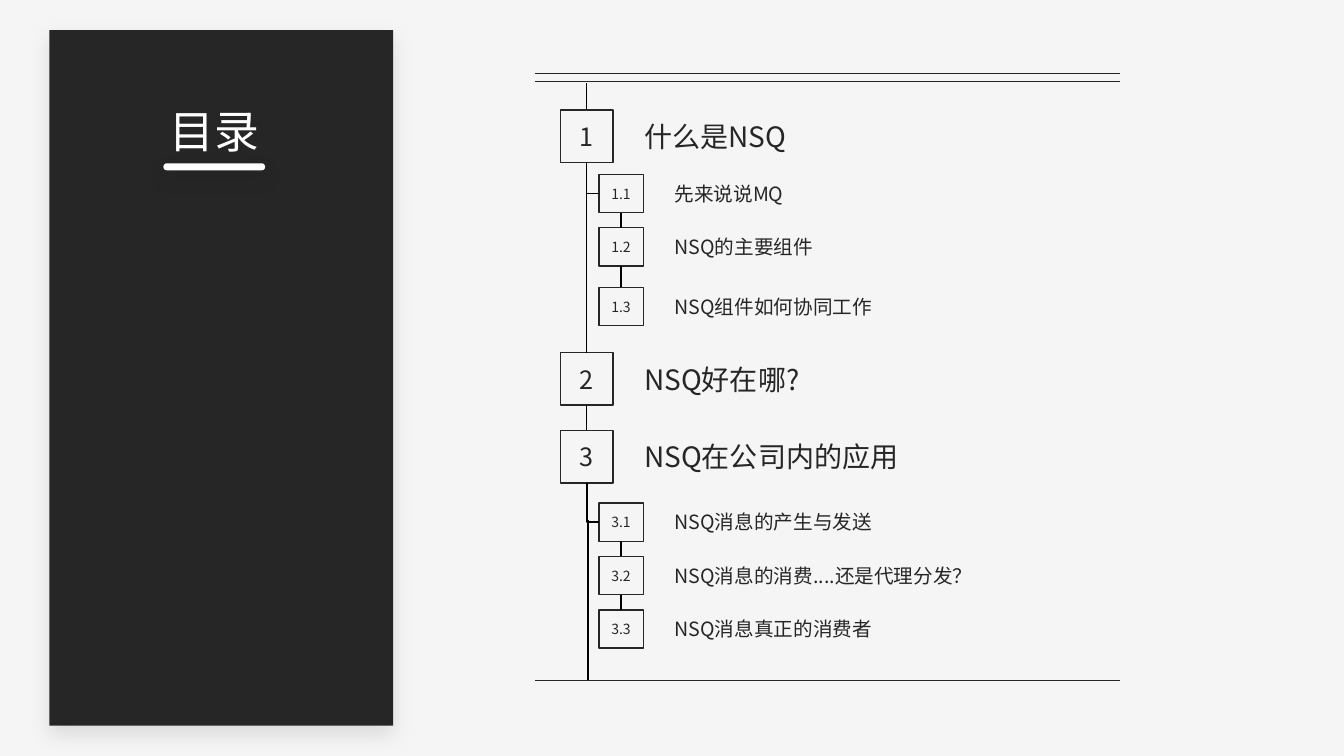
from dataclasses import dataclass
from typing import Optional

from lxml.etree import SubElement
from pptx import Presentation
from pptx.dml.color import RGBColor
from pptx.enum.shapes import MSO_CONNECTOR, MSO_SHAPE
from pptx.enum.text import MSO_ANCHOR, MSO_AUTO_SIZE, PP_ALIGN
from pptx.oxml.ns import qn
from pptx.util import Inches, Pt


@dataclass(frozen=True)
class Theme:
    font: str = "Noto Sans CJK SC"
    back: str = "F5F5F5"
    dark: str = "262626"
    white: str = "FFFFFF"
    black: str = "000000"
    title: int = 32
    line: int = 1


@dataclass(frozen=True)
class Level:
    left: float
    width: float
    height: float
    size: int
    text_left: float
    text_width: float
    text_height: float
    text_size: int


@dataclass(frozen=True)
class Entry:
    num: str
    text: str
    top: float
    level: Level
    width: Optional[float] = None


THEME = Theme()
MAIN = Level(5.56, 0.52, 0.52, 18, 6.29, 3.58, 0.77, 20)
SUB = Level(5.94, 0.44, 0.38, 10, 6.59, 2.62, 0.68, 14)
ENTRIES = [
    Entry("1", "什么是NSQ", 1.09, MAIN),
    Entry("1.1", "先来说说MQ", 1.73, SUB),
    Entry("1.2", "NSQ的主要组件", 2.26, SUB),
    Entry("1.3", "NSQ组件如何协同工作", 2.85, SUB),
    Entry("2", "NSQ好在哪?", 3.5, MAIN),
    Entry("3", "NSQ在公司内的应用", 4.27, MAIN),
    Entry("3.1", "NSQ消息的产生与发送", 4.99, SUB),
    Entry("3.2", "NSQ消息的消费....还是代理分发？", 5.52, SUB, 3.1),
    Entry("3.3", "NSQ消息真正的消费者", 6.05, SUB),
]
LINKS = [("1", "2"), ("2", "3"), ("1.1", "1.2"), ("1.2", "1.3"),
         ("3.1", "3.2"), ("3.2", "3.3")]
TOP, LEFT, BOTTOM = 0, 1, 2
SPINE = MAIN.left + MAIN.width / 2


def paint(frame, text: str, size: int, color: str, align=PP_ALIGN.LEFT) -> None:
    frame.text = text
    para = frame.paragraphs[0]
    para.alignment = align
    for run in para.runs:
        font = run.font
        font.size = Pt(size)
        font.color.rgb = RGBColor.from_string(color)
        font.name = THEME.font
        SubElement(font._element, qn("a:ea")).set("typeface", THEME.font)


def block(kind, left: float, top: float, width: float, height: float,
          fill: Optional[str] = None):
    shape = slide.shapes.add_shape(
        kind, Inches(left), Inches(top), Inches(width), Inches(height))
    shape.shadow.inherit = False
    if fill:
        shape.fill.solid()
        shape.fill.fore_color.rgb = RGBColor.from_string(fill)
        shape.line.fill.background()
    else:
        shape.fill.background()
        shape.line.color.rgb = RGBColor.from_string(THEME.dark)
        shape.line.width = Pt(THEME.line)
    return shape


def shade(shape) -> None:
    effects = shape._element.spPr.find(qn("a:effectLst"))
    outer = SubElement(effects, qn("a:outerShdw"), blurRad=str(Pt(15)),
                       dist=str(Pt(6)), dir="5400000", algn="t", rotWithShape="0")
    color = SubElement(outer, qn("a:srgbClr"), val=THEME.black)
    SubElement(color, qn("a:alpha"), val="10000")


def wire(x1: float, y1: float, x2: float, y2: float, color: str = THEME.black,
         kind=MSO_CONNECTOR.STRAIGHT):
    line = slide.shapes.add_connector(
        kind, Inches(x1), Inches(y1), Inches(x2), Inches(y2))
    line.line.color.rgb = RGBColor.from_string(color)
    line.line.width = Pt(THEME.line)
    SubElement(line._element.spPr, qn("a:effectLst"))
    return line


def elbow(start, end) -> None:
    """Run down from the start box, then right to the end box."""
    x, y = start.left + start.width // 2, start.top + start.height
    wide, tall = end.left - x, end.top + end.height // 2 - y
    line = wire(0, 0, 1, 1, kind=MSO_CONNECTOR.ELBOW)
    line.begin_connect(start, BOTTOM)
    line.end_connect(end, LEFT)
    line.left, line.top = x + (wide - tall) // 2, y + (tall - wide) // 2
    line.width, line.height = tall, wide
    props = line._element.spPr
    frame = props.find(qn("a:xfrm"))
    frame.set("rot", "5400000")
    frame.set("flipV", "1")
    props.find(qn("a:prstGeom")).set("prst", "bentConnector2")


def item(entry: Entry):
    level = entry.level
    box = block(MSO_SHAPE.RECTANGLE, level.left, entry.top, level.width, level.height)
    box.text_frame.word_wrap = False
    box.text_frame.vertical_anchor = MSO_ANCHOR.MIDDLE
    paint(box.text_frame, entry.num, level.size, THEME.dark, PP_ALIGN.CENTER)
    top = entry.top + (level.height - level.text_height) / 2
    label = slide.shapes.add_textbox(
        Inches(level.text_left), Inches(top),
        Inches(entry.width or level.text_width), Inches(level.text_height))
    label.text_frame.word_wrap = True
    label.text_frame.vertical_anchor = MSO_ANCHOR.MIDDLE
    paint(label.text_frame, entry.text, level.text_size, THEME.dark)
    return box


deck = Presentation()
deck.slide_width, deck.slide_height = Inches(13.33), Inches(7.5)
slide = deck.slides.add_slide(deck.slide_layouts[5])
slide.background.fill.solid()
slide.background.fill.fore_color.rgb = RGBColor.from_string(THEME.back)

# Side panel with the title
title = slide.shapes.title
panel = block(MSO_SHAPE.RECTANGLE, 0.49, 0.3, 3.41, 6.9, THEME.dark)
shade(panel)
title._element.addprevious(panel._element)
title.left, title.top = Inches(1.58), Inches(0.98)
title.width, title.height = Inches(1.09), Inches(0.64)
title.text_frame.word_wrap = False
title.text_frame.auto_size = MSO_AUTO_SIZE.SHAPE_TO_FIT_TEXT
title.text_frame.vertical_anchor = MSO_ANCHOR.TOP
paint(title.text_frame, "目录", THEME.title, THEME.white)
bar = block(MSO_SHAPE.ROUNDED_RECTANGLE, 1.62, 1.62, 1.01, 0.07, THEME.white)
bar.adjustments[0] = 0.5
shade(bar)

# Rules above and below the list
for y in (0.73, 0.81, 6.75):
    wire(5.31, y, 11.11, y, THEME.dark)

# Numbered entries
boxes = {entry.num: item(entry) for entry in ENTRIES}

# Lines between the boxes
for upper, lower in LINKS:
    link = wire(0, 0, 1, 1)
    link.begin_connect(boxes[upper], BOTTOM)
    link.end_connect(boxes[lower], TOP)
elbow(boxes["3"], boxes["3.1"])
wire(SUB.left, 1.92, SPINE, 1.92).begin_connect(boxes["1.1"], LEFT)
wire(SPINE, 1.09, SPINE, 0.82).begin_connect(boxes["1"], TOP)
wire(5.83, 5.16, 5.83, 6.75)

deck.save("out.pptx")
